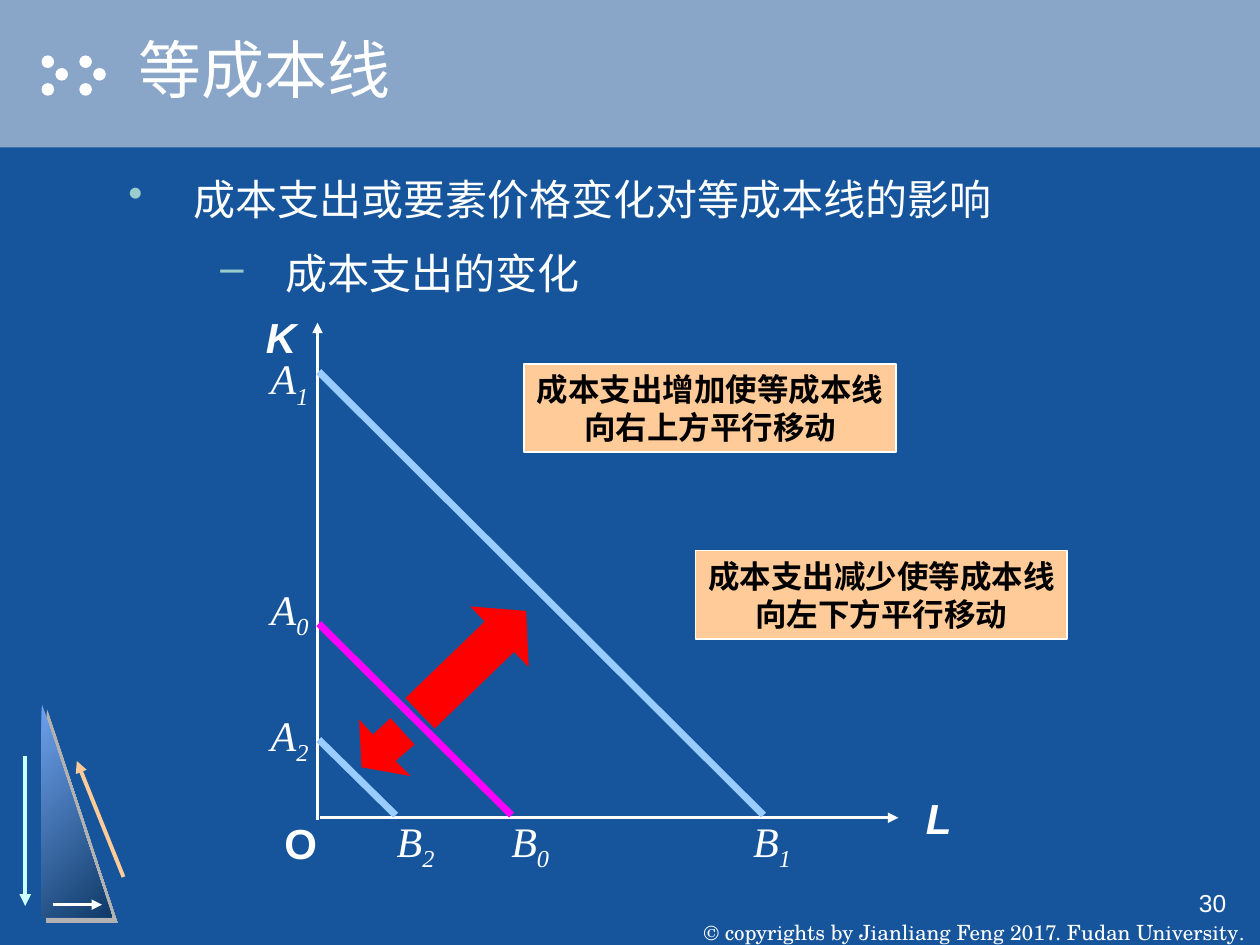
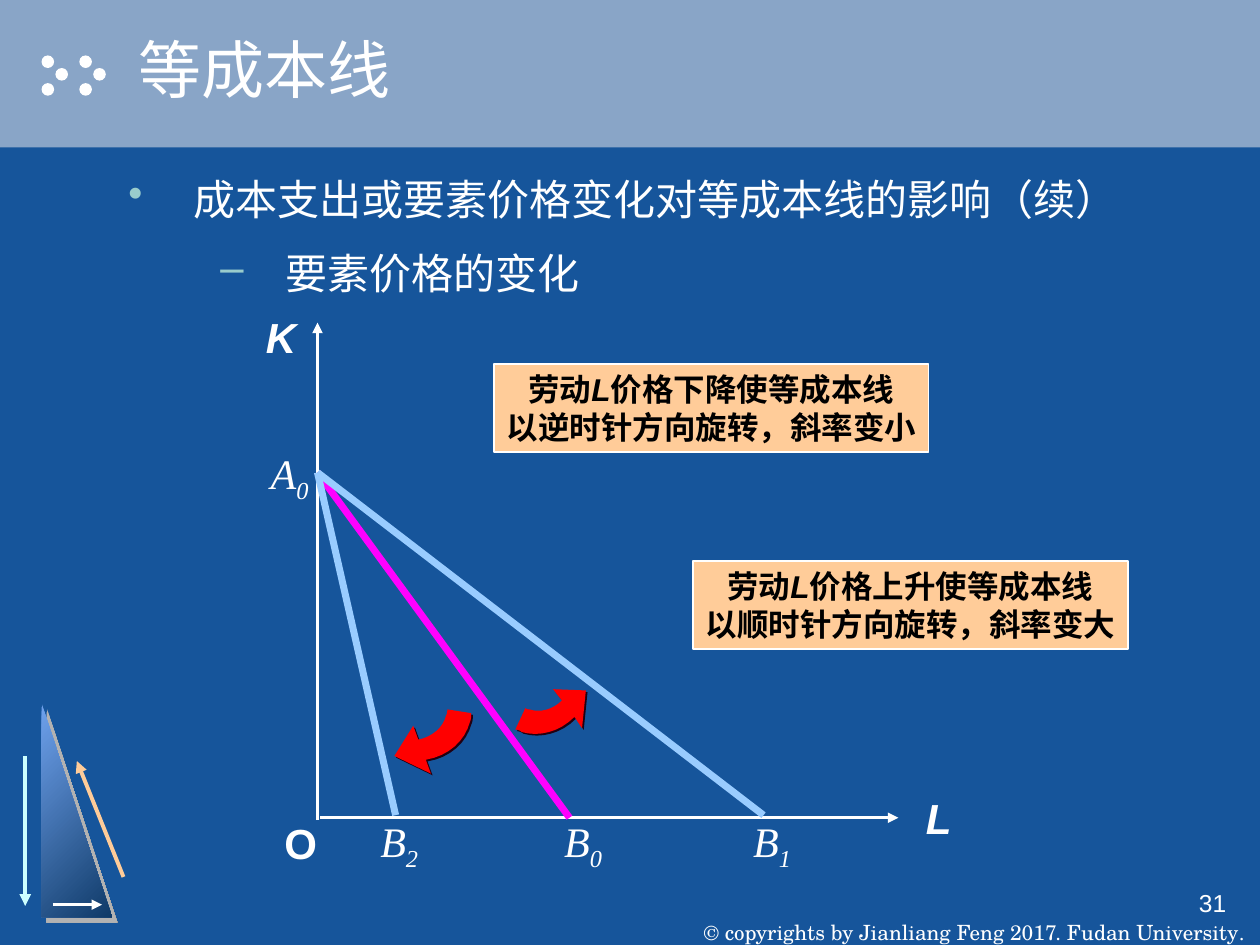
"""Build two slides on shifts and rotations of the isocost line."""
from dataclasses import dataclass

from lxml.etree import SubElement
from pptx import Presentation
from pptx.dml.color import RGBColor
from pptx.enum.shapes import MSO_CONNECTOR, MSO_SHAPE
from pptx.enum.text import MSO_ANCHOR, PP_ALIGN
from pptx.oxml.ns import qn
from pptx.util import Inches, Pt


@dataclass(frozen=True)
class Theme:
    """Colours, fonts and type sizes."""
    back: str = "16559B"
    band: str = "89A5C7"
    white: str = "FFFFFF"
    black: str = "000000"
    bullet: str = "99CCCC"
    base_line: str = "FF00FF"
    new_line: str = "99CCFF"
    arrow: str = "FF0000"
    arrow_shade: str = "220011"
    callout: str = "FFCC99"
    cyan: str = "CCFFFF"
    grad: tuple = ("6FA2ED", "0F3A68")
    grey: str = "B2B2B2"
    sans: str = "Arial"
    serif: str = "Times New Roman"
    footer: str = "TeX Gyre Schola"
    title_size: int = 36
    body_size: int = 24
    callout_size: int = 18
    number_size: int = 14
    footer_size: int = 12


T = Theme()

TITLE = "等成本线"
COPYRIGHT = "© copyrights by Jianliang Feng 2017. Fudan University"
SLIDES = [
    {
        "number": "30",
        "bullets": ["成本支出或要素价格变化对等成本线的影响", "成本支出的变化"],
        "lines": [
            ((2.53, 4.95), (4.06, 6.47), T.base_line),
            ((2.53, 2.95), (6.06, 6.47), T.new_line),
            ((2.53, 5.87), (3.14, 6.47), T.new_line),
        ],
        "a_labels": {"0": 4.58, "1": 2.75, "2": 5.58},
        "b_labels": {"0": 3.96, "1": 5.88, "2": 3.05},
        "block_arrows": [((3.17, 4.92, 1.17, 0.67), 316, (0.5, 0.44))],
        "outlines": [
            [(2.85, 5.71), (2.96, 5.83), (3.1, 5.7), (3.29, 5.91),
             (3.14, 6.04), (3.26, 6.16), (2.87, 6.09)],
        ],
        "outline_shade": None,
        "callouts": [
            ((4.16, 2.89, 2.95, 0.7), [["成本支出增加使等成本线"], ["向右上方平行移动"]]),
            ((5.52, 4.37, 2.95, 0.7), [["成本支出减少使等成本线"], ["向左下方平行移动"]]),
        ],
    },
    {
        "number": "31",
        "bullets": ["成本支出或要素价格变化对等成本线的影响（续）", "要素价格的变化"],
        "lines": [
            ((2.52, 3.75), (4.52, 6.49), T.base_line),
            ((2.52, 3.75), (6.06, 6.47), T.new_line),
            ((2.52, 3.75), (3.14, 6.47), T.new_line),
        ],
        "a_labels": {"0": 3.5},
        "b_labels": {"0": 4.38, "1": 5.88, "2": 2.92},
        "block_arrows": [],
        "outlines": [
            [(4.46, 5.56), (4.39, 5.63, 4.29, 5.66, 4.2, 5.63),
             (4.19, 5.63, 4.18, 5.63, 4.17, 5.62), (4.09, 5.79),
             (4.11, 5.79, 4.13, 5.8, 4.14, 5.81),
             (4.28, 5.85, 4.44, 5.81, 4.56, 5.69),
             (4.62, 5.78), (4.65, 5.48), (4.39, 5.47)],
            [(3.32, 5.87), (3.43, 5.85, 3.52, 5.77, 3.54, 5.68),
             (3.55, 5.66, 3.55, 5.65, 3.55, 5.63), (3.74, 5.66),
             (3.74, 5.68, 3.74, 5.71, 3.73, 5.73),
             (3.69, 5.88, 3.56, 6, 3.38, 6.03),
             (3.42, 6.14), (3.13, 6), (3.28, 5.76)],
        ],
        "outline_shade": (T.arrow_shade, 1.4),
        "callouts": [
            ((3.92, 2.89, 3.45, 0.7),
             [["劳动", "L", "价格下降使等成本线"], ["以逆时针方向旋转，斜率变小"]]),
            ((5.5, 4.45, 3.45, 0.7),
             [["劳动", "L", "价格上升使等成本线"], ["以顺时针方向旋转，斜率变大"]]),
        ],
    },
]

AXES = [((2.52, 6.51), (2.52, 2.56)), ((2.54, 6.49), (7.13, 6.49))]
AXIS_NAMES = [
    ("L", (7.25, 6.24, 0.4, 0.5), True, PP_ALIGN.LEFT),
    ("K", (2.01, 2.42, 0.44, 0.5), True, PP_ALIGN.RIGHT),
    ("O", (2.16, 6.44, 0.46, 0.5), False, PP_ALIGN.LEFT),
]
CORNER_ARROWS = [
    ((0.2, 6), (0.2, 7.19), T.cyan, 2.25),
    ((0.98, 6.96), (0.61, 6.04), T.callout, 2.25),
    ((0.42, 7.18), (0.81, 7.18), T.white, 1.5),
]
DOT_GROUPS_X = (0.33, 0.63)
DOT_OFFSETS = ((0, 0.44), (0.11, 0.54), (0, 0.66))
LABEL_X, LABEL_Y, LABEL_W, LABEL_H = 2.05, 6.42, 0.7, 0.56
BULLETS = [("•", 0.52, 0), ("–", 1.25, 13.5)]
CURVE_STEPS = 8


def rgb(code):
    return RGBColor.from_string(code)


def apply(obj, values):
    for name, value in values.items():
        setattr(obj, name, value)


def add_shadow(effects, color, dist):
    shade = SubElement(effects, qn("a:outerShdw"),
                       dist=str(Pt(dist)), dir="2700000", algn="tl", rotWithShape="0")
    SubElement(shade, qn("a:srgbClr"), val=color)


def style(sp, fill, line=None, shade=None):
    sp.shadow.inherit = False
    if shade:
        add_shadow(sp._element.spPr.find(qn("a:effectLst")), *shade)
    if fill:
        sp.fill.solid()
        sp.fill.fore_color.rgb = rgb(fill)
    if line:
        sp.line.color.rgb = rgb(line)
        sp.line.width = Pt(1)
    else:
        sp.line.fill.background()
    return sp


def add_shape(s, kind, box, fill=None, line=None, shade=None):
    return style(s.shapes.add_shape(kind, *map(Inches, box)), fill, line, shade)


def add_line(s, start, end, color, width, arrow=False):
    c = s.shapes.add_connector(MSO_CONNECTOR.STRAIGHT, *map(Inches, start + end))
    c.line.color.rgb = rgb(color)
    c.line.width = Pt(width)
    if arrow:
        SubElement(c.line._get_or_add_ln(), qn("a:tailEnd"), type="triangle")
    SubElement(c._element.spPr, qn("a:effectLst"))


def add_run(p, text, font, size, color=T.white, shade=False, base=None, **extra):
    r = p.add_run()
    r.text = text
    apply(r.font, {"name": font, "size": Pt(size), **extra})
    r.font.color.rgb = rgb(color)
    rpr = r.font._element
    if base:
        rpr.set("baseline", str(base))
    if shade:
        effects = SubElement(rpr, qn("a:effectLst"))
        add_shadow(effects, T.black, 1.5)
        rpr.find(qn("a:solidFill")).addnext(effects)


def add_text(s, box, align=PP_ALIGN.LEFT, **frame):
    tf = s.shapes.add_textbox(*map(Inches, box)).text_frame
    apply(tf, {"word_wrap": True, **frame})
    tf.paragraphs[0].alignment = align
    return tf


def add_outline(s, parts, shade):
    pts = [parts[0]]
    for part in parts[1:]:
        if len(part) == 2:
            pts.append(part)
            continue
        ctrl = [pts[-1], part[:2], part[2:4], part[4:]]
        for i in range(1, CURVE_STEPS + 1):
            t = i / CURVE_STEPS
            weights = ((1 - t) ** 3, 3 * t * (1 - t) ** 2, 3 * t * t * (1 - t), t ** 3)
            pts.append(tuple(sum(w * c[k] for w, c in zip(weights, ctrl)) for k in (0, 1)))
    pts = [tuple(map(Inches, pt)) for pt in pts]
    fb = s.shapes.build_freeform(*pts[0])
    fb.add_line_segments(pts[1:], close=True)
    style(fb.convert_to_shape(), T.arrow, shade=shade)


def add_frame(s, number):
    s.background.fill.solid()
    s.background.fill.fore_color.rgb = rgb(T.back)
    add_shape(s, MSO_SHAPE.RECTANGLE, (0, 0, 10, 1.17), T.band)
    for x in DOT_GROUPS_X:
        for dx, y in DOT_OFFSETS:
            add_shape(s, MSO_SHAPE.OVAL, (x + dx, y, 0.1, 0.1), T.white)
    sp = add_shape(s, MSO_SHAPE.RIGHT_TRIANGLE, (0.33, 5.58, 0.56, 1.7), shade=(T.grey, 4.2))
    sp.fill.gradient()
    sp.fill.gradient_angle = 315
    for stop, color in zip(sp.fill.gradient_stops, T.grad):
        stop.color.rgb = rgb(color)
    for start, end, color, width in CORNER_ARROWS:
        add_line(s, start, end, color, width, True)

    tf = add_text(s, (5.44, 7, 4.58, 0.5), PP_ALIGN.CENTER, word_wrap=False,
                  vertical_anchor=MSO_ANCHOR.BOTTOM, margin_top=0, margin_bottom=0)
    add_run(tf.paragraphs[0], COPYRIGHT, T.footer, T.footer_size)
    add_run(tf.paragraphs[0], ".", T.serif, T.footer_size)
    tf = add_text(s, (7.75, 7, 2.08, 0.5), PP_ALIGN.RIGHT)
    add_run(tf.paragraphs[0], number, T.sans, T.number_size)
    tf = add_text(s, (1, 0, 9, 1.08), vertical_anchor=MSO_ANCHOR.MIDDLE)
    add_run(tf.paragraphs[0], TITLE, T.sans, T.title_size, shade=True)


def add_bullets(s, texts):
    tf = add_text(s, (0.92, 1.33, 8.17, 5))
    for i, (text, (mark, left, before)) in enumerate(zip(texts, BULLETS)):
        p = tf.add_paragraph() if i else tf.paragraphs[0]
        apply(p, {"level": i, "space_before": Pt(before)})
        ppr = p._p.get_or_add_pPr()
        ppr.set("marL", str(Inches(left)))
        ppr.set("indent", str(Inches(-0.52)))
        SubElement(SubElement(ppr, qn("a:buClr")), qn("a:srgbClr"), val=T.bullet)
        SubElement(ppr, qn("a:buChar"), char=mark)
        add_run(p, text, T.serif, T.body_size)


def add_label(s, letter, index, x, y):
    p = add_text(s, (x, y, LABEL_W, LABEL_H)).paragraphs[0]
    for text, base in ((letter, None), (index, -25000)):
        add_run(p, text, T.serif, T.body_size, shade=True, base=base, italic=True)


def add_callout(s, box, rows):
    tf = add_shape(s, MSO_SHAPE.RECTANGLE, box, T.callout, T.white).text_frame
    apply(tf, {"word_wrap": False, "vertical_anchor": MSO_ANCHOR.TOP})
    for i, row in enumerate(rows):
        p = tf.add_paragraph() if i else tf.paragraphs[0]
        p.alignment = PP_ALIGN.CENTER
        for text in row:
            add_run(p, text, T.sans, T.callout_size, T.black, bold=True, italic=text == "L")


def add_diagram(s, data):
    for start, end in AXES:
        add_line(s, start, end, T.white, 2, True)
    for name, box, italic, align in AXIS_NAMES:
        tf = add_text(s, box, align, word_wrap=False)
        add_run(tf.paragraphs[0], name, T.sans, T.body_size, bold=True, italic=italic)
    for start, end, color in data["lines"]:
        add_line(s, start, end, color, 4)
    for box, turn, adjust in data["block_arrows"]:
        sp = add_shape(s, MSO_SHAPE.RIGHT_ARROW, box, T.arrow)
        sp.rotation = turn
        for i, value in enumerate(adjust):
            sp.adjustments[i] = value
    for parts in data["outlines"]:
        add_outline(s, parts, data["outline_shade"])
    for index, y in data["a_labels"].items():
        add_label(s, "A", index, LABEL_X, y)
    for index, x in data["b_labels"].items():
        add_label(s, "B", index, x, LABEL_Y)
    for box, rows in data["callouts"]:
        add_callout(s, box, rows)


def main():
    prs = Presentation()
    apply(prs, {"slide_width": Inches(10), "slide_height": Inches(7.5)})
    for data in SLIDES:
        s = prs.slides.add_slide(prs.slide_layouts[6])
        add_frame(s, data["number"])
        add_bullets(s, data["bullets"])
        add_diagram(s, data)
    prs.save("out.pptx")


if __name__ == "__main__":
    main()
